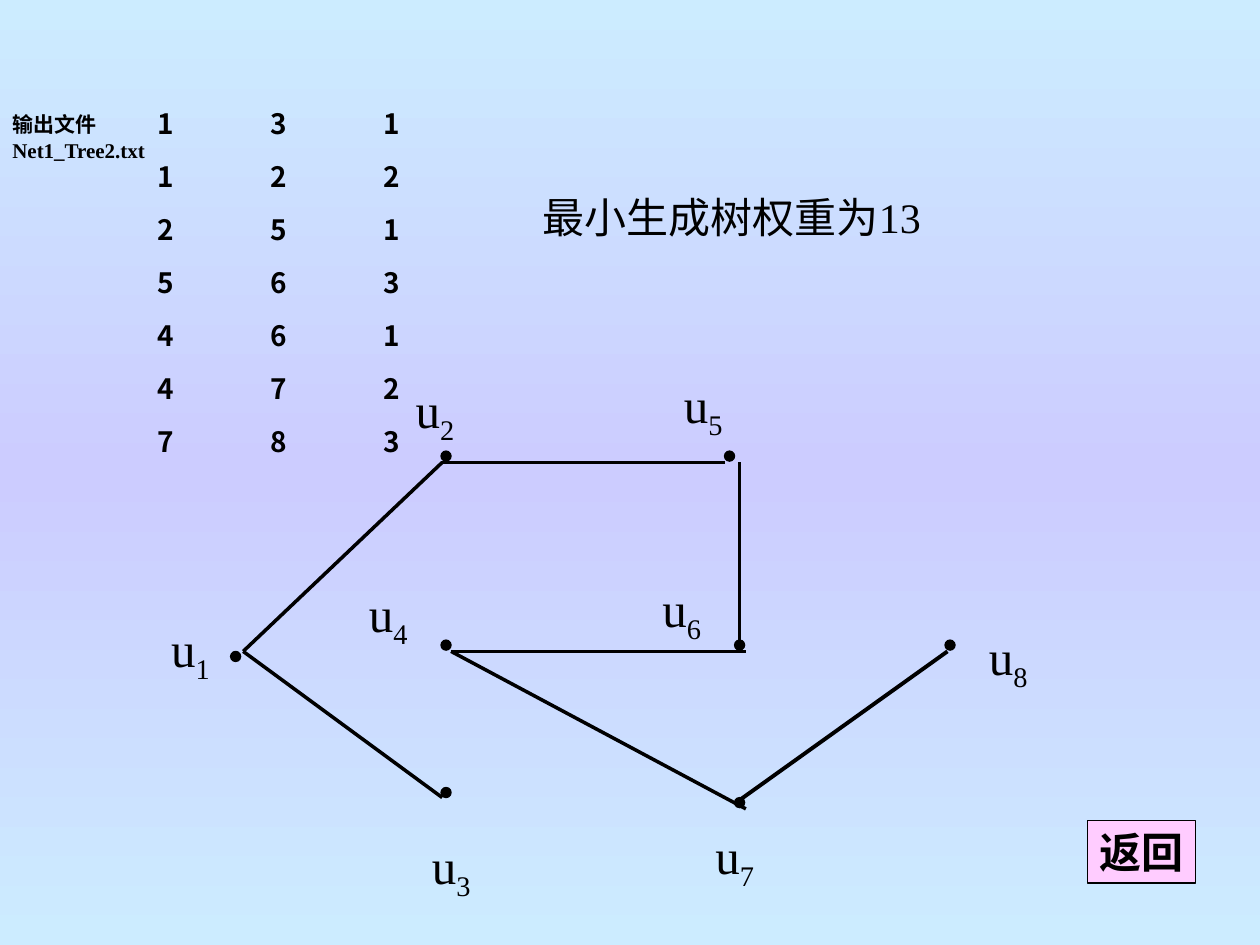
from copy import deepcopy

from lxml import etree
from pptx import Presentation
from pptx.dml.color import RGBColor
from pptx.enum import shapes, text
from pptx.oxml.ns import qn
from pptx.util import Inches, Pt

COLORS = {"ink": "000000", "sky": "CCECFF", "lilac": "CCCCFF", "button": "FFCCFF"}
LATIN, CJK = "Times New Roman", "Noto Sans CJK SC"
NO_GRID_STYLE = "{2D5ABB26-0587-4C30-8999-92F81FD0307C}"

TREE_ROWS = [
    (1, 3, 1),
    (1, 2, 2),
    (2, 5, 1),
    (5, 6, 3),
    (4, 6, 1),
    (4, 7, 2),
    (7, 8, 3),
]
TABLE_LEFT, TABLE_TOP, TABLE_WIDTH, TABLE_HEIGHT = 0.59, 0.76, 2.68, 2.57

# number: (dot left, dot top), (label left, label top, label width)
NODES = {
    1: ((1.83, 5.17), (1.26, 4.86, 0.5)),
    2: ((3.5, 3.58), (3.2, 2.96, 0.5)),
    3: ((3.5, 6.25), (3.33, 6.58, 0.83)),
    4: ((3.5, 5.08), (2.83, 4.58, 0.67)),
    5: ((5.75, 3.58), (5.33, 2.92, 0.92)),
    6: ((5.83, 5.08), (5.16, 4.54, 0.83)),
    7: ((5.83, 6.33), (5.58, 6.5, 0.92)),
    8: ((7.5, 5.08), (7.75, 4.92, 0.75)),
}
DOT_SIZE, LABEL_HEIGHT = 0.08, 0.63

# start, end, line width
EDGES = [
    ((3.51, 3.67), (1.93, 5.17), 2),
    ((1.93, 5.17), (3.51, 6.33), 2),
    ((3.58, 5.17), (5.92, 5.17), 2),
    ((3.5, 3.67), (5.75, 3.67), 2),
    ((5.87, 3.67), (5.87, 5.17), 2),
    ((3.58, 5.17), (5.92, 6.42), 2),
    ((5.87, 6.35), (7.52, 5.17), 2.25),
]

# wording, (left, top, width, height), size, bold
CAPTIONS = [
    ("输出文件Net1_Tree2.txt", (0, 0.84, 1.34, 0.5), 12, True),
    ("最小生成树权重为13", (4.21, 1.47, 4.41, 0.5), 24, False),
]
BACK_BUTTON = ("返回", (8.63, 6.51, 0.86, 0.5), 24)


def rgb(name):
    return RGBColor.from_string(COLORS[name])


def style_run(run, size, bold=False, font=LATIN):
    run.font.size = Pt(size)
    run.font.bold = bold
    run.font.name = font
    run.font.color.rgb = rgb("ink")
    east_asian = etree.SubElement(run._r.get_or_add_rPr(), qn("a:ea"))
    east_asian.set("typeface", CJK)


def paint_background(slide):
    fill = slide.background.fill
    fill.gradient()
    fill.gradient_angle = 270
    first, last = fill.gradient_stops
    first.color.rgb = last.color.rgb = rgb("sky")
    first.position, last.position = 0, 1
    stops = slide.background._cSld.find(".//" + qn("a:gsLst"))
    stops.insert(1, deepcopy(stops[0]))
    middle = fill.gradient_stops[1]
    middle.position = 0.5
    middle.color.rgb = rgb("lilac")


def add_shape(slide, preset, box, color):
    shape = slide.shapes.add_shape(preset, *map(Inches, box))
    shape.shadow.inherit = False
    shape.fill.solid()
    shape.fill.fore_color.rgb = rgb(color)
    shape.line.color.rgb = rgb("ink")
    shape.line.width = Pt(0.75)
    return shape


def write(shape, parts, size, bold=False):
    """Put the parts into one left-aligned paragraph and return its runs."""
    frame = shape.text_frame
    frame.word_wrap = True
    frame.margin_right = 0  # leaves the tight boxes room for a single line
    frame.auto_size = text.MSO_AUTO_SIZE.NONE
    frame.vertical_anchor = text.MSO_ANCHOR.TOP
    paragraph = frame.paragraphs[0]
    paragraph.alignment = text.PP_ALIGN.LEFT
    for part in parts:
        run = paragraph.add_run()
        run.text = part
        style_run(run, size, bold)
    return paragraph.runs


def add_nodes(slide):
    for dot, _ in NODES.values():
        add_shape(slide, shapes.MSO_SHAPE.OVAL, (*dot, DOT_SIZE, DOT_SIZE), "ink")
    for number, (_, label) in NODES.items():
        box = slide.shapes.add_textbox(*map(Inches, (*label, LABEL_HEIGHT)))
        _, subscript = write(box, ["u", str(number)], 28)
        subscript._r.get_or_add_rPr().set("baseline", "-25000")


def add_edges(slide):
    for start, end, width in EDGES:
        edge = slide.shapes.add_connector(
            shapes.MSO_CONNECTOR.STRAIGHT, *map(Inches, (*start, *end)))
        edge.line.color.rgb = rgb("ink")
        edge.line.width = Pt(width)
        etree.SubElement(edge._element.spPr, qn("a:effectLst"))


def add_tree_table(slide):
    rows, columns = len(TREE_ROWS), len(TREE_ROWS[0])
    box = (TABLE_LEFT, TABLE_TOP, TABLE_WIDTH, TABLE_HEIGHT)
    table = slide.shapes.add_table(rows, columns, *map(Inches, box)).table
    table.first_row = table.horz_banding = False
    table._tbl.tblPr.find(qn("a:tableStyleId")).text = NO_GRID_STYLE
    for row, values in zip(table.rows, TREE_ROWS):
        for cell, value in zip(row.cells, values):
            cell.fill.background()
            cell.vertical_anchor = text.MSO_ANCHOR.MIDDLE
            cell.text_frame.text = str(value)
            paragraph = cell.text_frame.paragraphs[0]
            paragraph.alignment = text.PP_ALIGN.RIGHT
            style_run(paragraph.runs[0], 16, True, CJK)


def main():
    deck = Presentation()
    deck.slide_width, deck.slide_height = Inches(10), Inches(7.5)
    slide = deck.slides.add_slide(deck.slide_layouts[6])
    paint_background(slide)
    add_nodes(slide)
    add_edges(slide)
    add_tree_table(slide)
    for wording, box, size, bold in CAPTIONS:
        write(slide.shapes.add_textbox(*map(Inches, box)), [wording], size, bold)
    wording, box, size = BACK_BUTTON
    button = add_shape(slide, shapes.MSO_SHAPE.RECTANGLE, box, "button")
    write(button, [wording], size, bold=True)
    deck.save("out.pptx")


if __name__ == "__main__":
    main()
